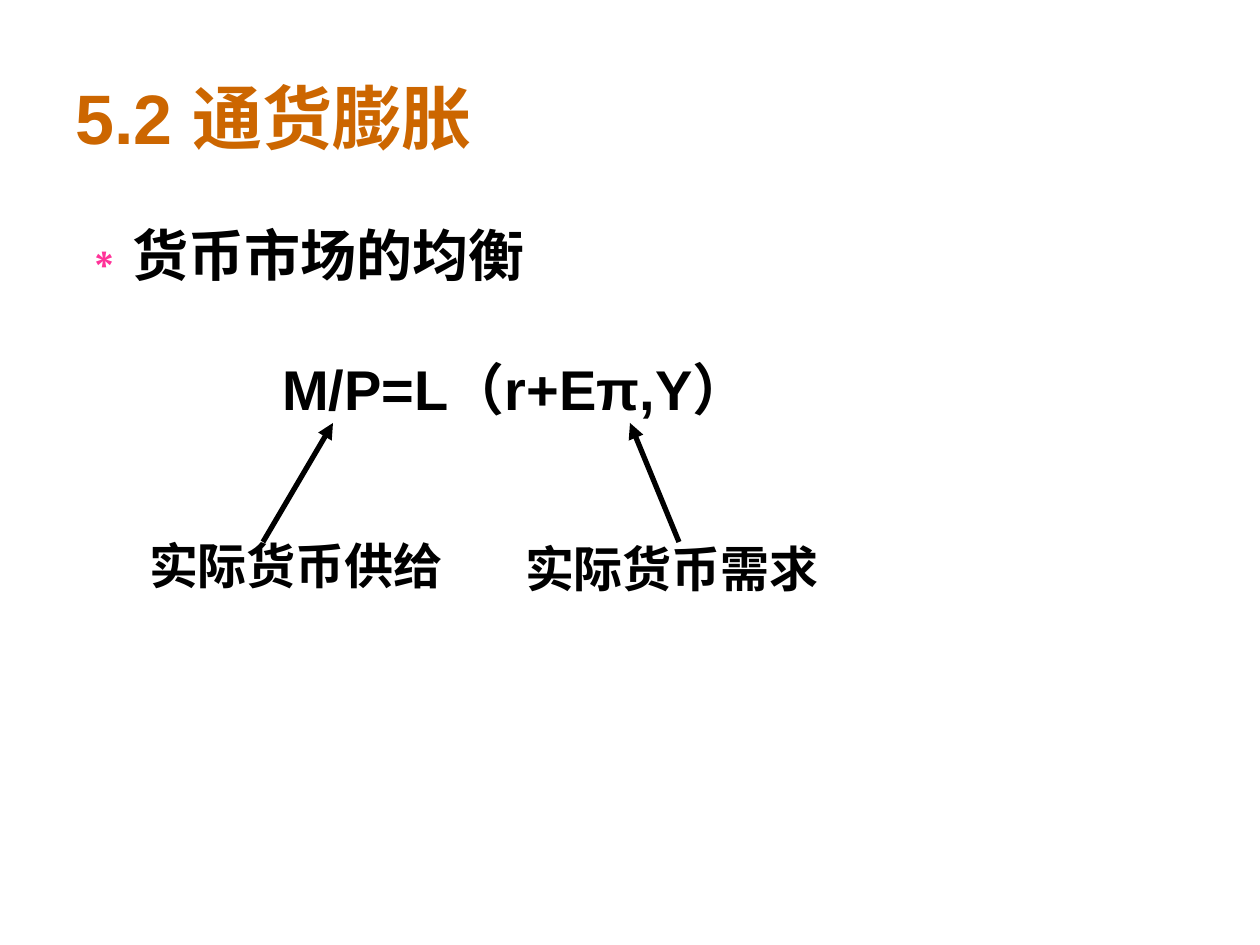
from lxml import etree
from pptx import Presentation
from pptx.dml.color import RGBColor
from pptx.enum.shapes import MSO_CONNECTOR
from pptx.enum.text import MSO_ANCHOR, PP_ALIGN
from pptx.oxml.ns import qn
from pptx.util import Emu, Pt

STRAIGHT = MSO_CONNECTOR.STRAIGHT
TOP, MIDDLE = MSO_ANCHOR.TOP, MSO_ANCHOR.MIDDLE
LEFT, CENTER, RIGHT = PP_ALIGN.LEFT, PP_ALIGN.CENTER, PP_ALIGN.RIGHT
TITLE_ONLY = 5

COLORS = {"title": "CC6600", "bullet": "FF3399", "ink": "000000"}
LATIN_FONT, CHINESE_FONT = "Arial", "Noto Sans CJK SC"


def px(length):
    """Turn pixels, 126 to the inch, into EMU."""
    return Emu(round(length * 914400 / 126))


def color(name):
    return RGBColor.from_string(COLORS[name])


def write(frame, text, size, align, anchor=TOP, ink="ink", wrap=True):
    """Fill a text frame with one bold paragraph and return the paragraph."""
    frame.text = text
    frame.word_wrap = wrap
    frame.vertical_anchor = anchor
    paragraph = frame.paragraphs[0]
    paragraph.alignment = align
    for run in paragraph.runs:
        run.font.size = Pt(size)
        run.font.bold = True
        run.font.name = LATIN_FONT
        run.font.color.rgb = color(ink)
        east_asian = etree.SubElement(run._r.get_or_add_rPr(), qn("a:ea"))
        east_asian.set("typeface", CHINESE_FONT)
    return paragraph


def add_title(slide, text):
    title = slide.shapes.title
    title.left, title.top, title.width, title.height = map(px, (63, 38, 1134, 157))
    write(title.text_frame, text, 40, LEFT, MIDDLE, "title")


def add_text(slide, box, text, size, align, **style):
    frame = slide.shapes.add_textbox(*map(px, box)).text_frame
    return write(frame, text, size, align, **style)


def add_bullet(paragraph, char, indent):
    properties = paragraph._p.get_or_add_pPr()
    properties.set("marL", str(px(indent)))
    properties.set("indent", str(-px(indent)))
    bullet_color = etree.SubElement(properties, qn("a:buClr"))
    etree.SubElement(bullet_color, qn("a:srgbClr")).set("val", COLORS["bullet"])
    etree.SubElement(properties, qn("a:buFont")).set("typeface", LATIN_FONT)
    etree.SubElement(properties, qn("a:buChar")).set("char", char)


def add_arrow(slide, start, end):
    arrow = slide.shapes.add_connector(STRAIGHT, *map(px, start + end))
    arrow.line.color.rgb = color("ink")
    arrow.line.width = Pt(3)
    etree.SubElement(arrow.line._get_or_add_ln(), qn("a:tailEnd")).set("type", "triangle")
    etree.SubElement(arrow._element.spPr, qn("a:effectLst"))


def main():
    presentation = Presentation()
    presentation.slide_width, presentation.slide_height = px(1260), px(945)
    slide = presentation.slides.add_slide(presentation.slide_layouts[TITLE_ONLY])

    add_title(slide, "5.2 通货膨胀")
    topic = add_text(slide, (64, 214, 1134, 624), "货币市场的均衡", 32, LEFT)
    add_bullet(topic, "∗", 48)
    add_text(slide, (203, 324, 625, 129), "M/P=L（r+Eπ,Y）", 32, CENTER,
             anchor=MIDDLE, wrap=False)

    add_arrow(slide, (263, 542), (333, 423))
    add_arrow(slide, (679, 542), (630, 423))
    for left, top, label in ((136, 529, "实际货币供给"), (512, 532, "实际货币需求")):
        add_text(slide, (left, top, 319, 72), label, 28, RIGHT, wrap=False)

    presentation.save("out.pptx")


if __name__ == "__main__":
    main()
